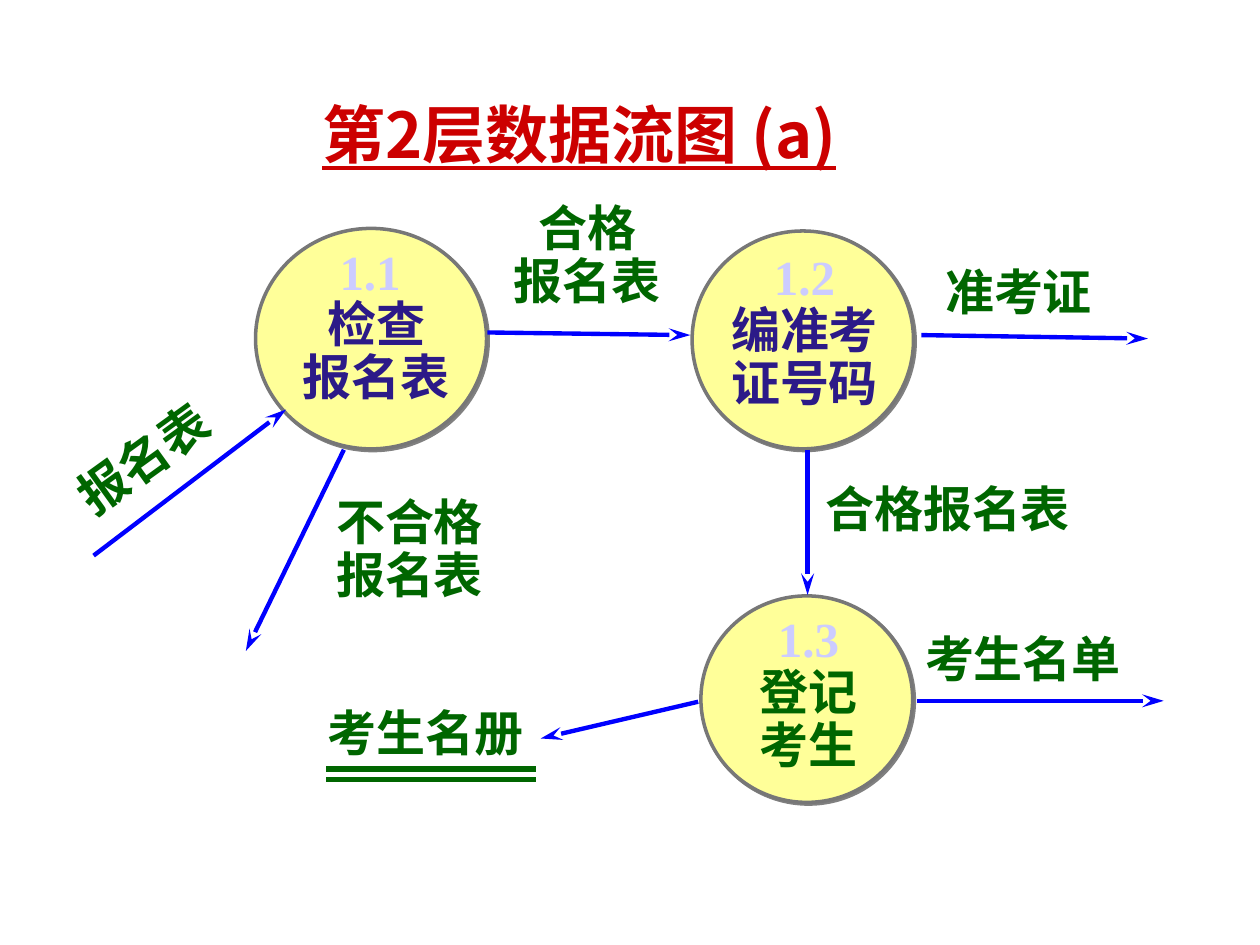
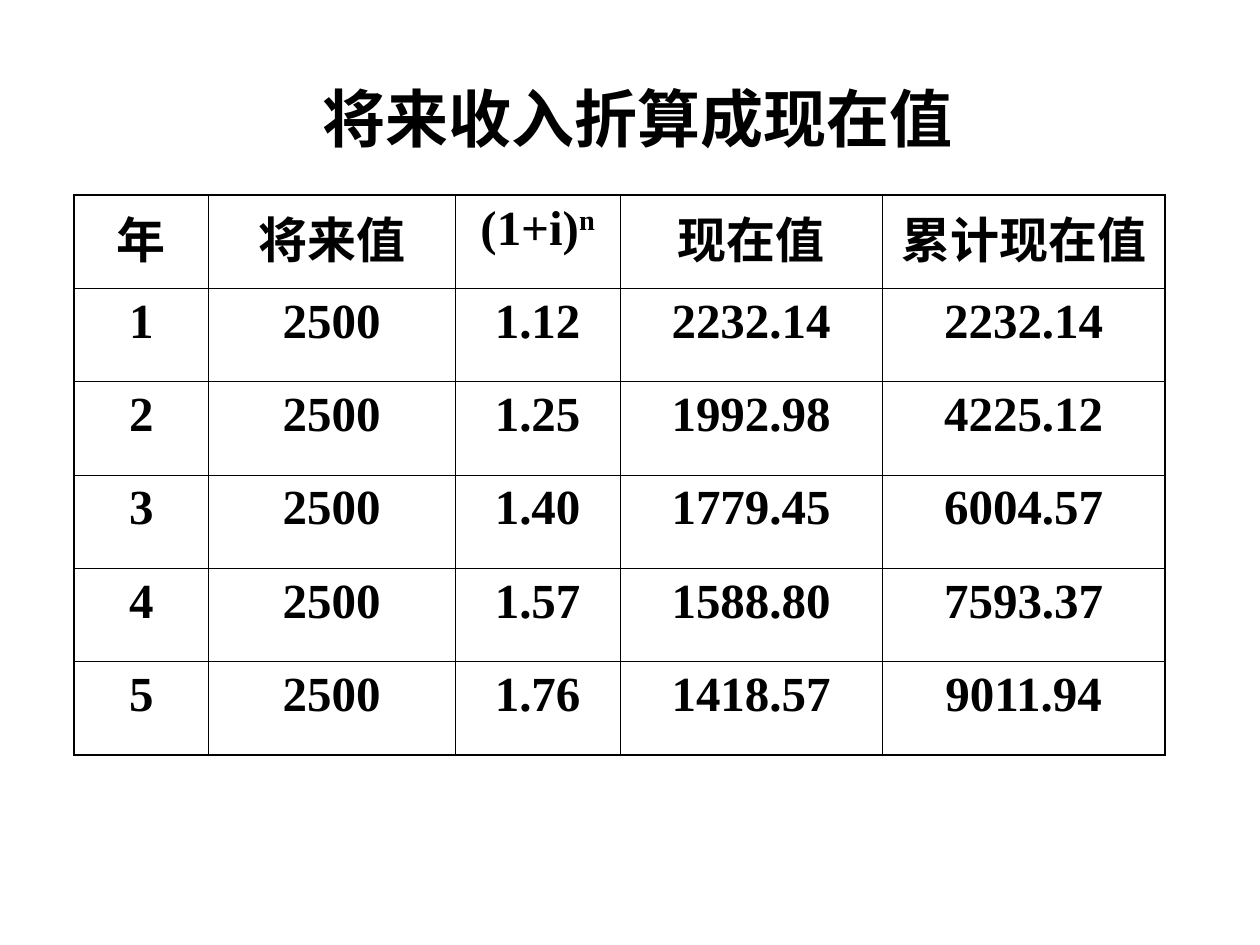
from lxml.etree import SubElement
from pptx import Presentation
from pptx.dml.color import RGBColor
from pptx.enum.shapes import MSO_CONNECTOR, MSO_SHAPE
from pptx.enum.text import MSO_ANCHOR, MSO_AUTO_SIZE, PP_ALIGN
from pptx.oxml.ns import qn
from pptx.util import Pt

RED = RGBColor(0xCC, 0x00, 0x00)
GREEN = RGBColor(0x00, 0x66, 0x00)
BLUE = RGBColor(0x00, 0x00, 0xFF)
INDIGO = RGBColor(0x2C, 0x1A, 0x88)
LAVENDER = RGBColor(0xCC, 0xCC, 0xFF)
YELLOW = RGBColor(0xFF, 0xFF, 0x99)
GRAY = RGBColor(0x77, 0x77, 0x77)
SHADOW = RGBColor(0x80, 0x80, 0x80)
BLACK = RGBColor(0x00, 0x00, 0x00)

LATIN_FONT = "Times New Roman"
CHINESE_FONT = "Noto Sans CJK JP"
LEFT, CENTER = PP_ALIGN.LEFT, PP_ALIGN.CENTER
TITLE_ONLY = 5

PROCESSES = [
    ((146, 130.5, 132, 126), (140, 138, 150, 98), "1.1 \n检查\n报名表", INDIGO),
    ((395.5, 132, 126.5, 124.5), (397, 141, 125.5, 98), "1.2\n编准考证号码", INDIGO),
    ((400.5, 340.5, 121, 118), (399, 348, 126, 98), "1.3\n登记\n考生", GREEN),
]
FLOWS = [
    ((53.5, 317.5), (163.5, 234)),
    ((278.5, 190), (394.5, 191.5)),
    ((196.5, 257), (140.5, 372)),
    ((526.5, 191.5), (656, 193.5)),
    ((461.5, 257), (461.5, 340)),
    ((524, 400.5), (665, 400.5)),
    ((399, 401), (309, 422)),
]
FLOW_LABELS = [
    ("报名表", (31, 236, 116, 41), {"rotation": 324.2}),
    ("合格\n报名表", (266.5, 113, 138, 68), {"align": CENTER, "spacing": 0.9}),
    ("不合格\n报名表", (185, 281, 109, 68), {"spacing": 0.9}),
    ("准考证", (533, 146, 109, 41), {}),
    ("合格报名表", (464.5, 270, 158, 41), {}),
    ("考生名单", (521.5, 355.5, 135, 41), {}),
    ("考生名册", (180, 398, 130, 41), {}),
]

INCOME_ROWS = [
    ("年", "将来值", "(1+i)^n", "现在值", "累计现在值"),
    ("1", "2500", "1.12", "2232.14", "2232.14"),
    ("2", "2500", "1.25", "1992.98", "4225.12"),
    ("3", "2500", "1.40", "1779.45", "6004.57"),
    ("4", "2500", "1.57", "1588.80", "7593.37"),
    ("5", "2500", "1.76", "1418.57", "9011.94"),
]
COLUMN_WIDTHS = (76.5, 141, 94.5, 149.5, 162)
ROW_HEIGHT = 53.3
OUTER_RULE, INNER_RULE = 1.25, 0.45


def points(*lengths):
    return [Pt(length) for length in lengths]


def write(frame, text, size=28, color=GREEN, first_color=None, font=LATIN_FONT,
          align=LEFT, spacing=None, underline=None):
    for row, line in enumerate(text.split("\n")):
        paragraph = frame.paragraphs[0] if row == 0 else frame.add_paragraph()
        paragraph.alignment = align
        paragraph.line_spacing = spacing
        for level, part in enumerate(line.split("^")):
            run = paragraph.add_run()
            run.text = part
            run.font.size = Pt(size)
            run.font.bold = True
            run.font.underline = underline
            run.font.name = font
            run.font.color.rgb = first_color if first_color and row == 0 else color
            properties = run._r.get_or_add_rPr()
            SubElement(properties, qn("a:ea")).set("typeface", CHINESE_FONT)
            if level:
                properties.set("baseline", "30000")


def add_titled_slide(deck, text, box, **style):
    slide = deck.slides.add_slide(deck.slide_layouts[TITLE_ONLY])
    title = slide.shapes.title
    title.left, title.top, title.width, title.height = points(*box)
    title.text_frame.auto_size = MSO_AUTO_SIZE.NONE
    title.text_frame.vertical_anchor = MSO_ANCHOR.TOP
    write(title.text_frame, text, size=36, **style)
    return slide


def add_label(slide, text, box, rotation=0, **style):
    label = slide.shapes.add_textbox(*points(*box))
    label.rotation = rotation
    label.text_frame.word_wrap = True
    write(label.text_frame, text, **style)


def add_line(slide, start, end, color, width, arrow=False):
    line = slide.shapes.add_connector(MSO_CONNECTOR.STRAIGHT, *points(*start, *end))
    line.line.color.rgb = color
    line.line.width = Pt(width)
    if arrow:
        SubElement(line.line._get_or_add_ln(), qn("a:tailEnd"), type="stealth", len="lg")
    SubElement(line._element.spPr, qn("a:effectLst"))


def add_process(slide, circle_box, text_box, text, color):
    circle = slide.shapes.add_shape(MSO_SHAPE.OVAL, *points(*circle_box))
    circle.fill.solid()
    circle.fill.fore_color.rgb = YELLOW
    circle.line.color.rgb = GRAY
    circle.line.width = Pt(2)
    circle.shadow.inherit = False
    effects = circle._element.spPr.find(qn("a:effectLst"))
    shadow = SubElement(effects, qn("a:outerShdw"), dist=str(Pt(1.4)), dir="2700000")
    SubElement(shadow, qn("a:srgbClr")).set("val", str(SHADOW))
    add_label(slide, text, text_box, color=color, first_color=LAVENDER,
              align=CENTER, spacing=0.9)


def rule_cell(cell, widths):
    properties = cell._tc.get_or_add_tcPr()
    for side, width in zip("LRTB", widths):
        rule = SubElement(properties, qn(f"a:ln{side}"), w=str(Pt(width)))
        fill = SubElement(rule, qn("a:solidFill"))
        SubElement(fill, qn("a:srgbClr")).set("val", str(BLACK))


def add_income_table(slide, left, top):
    last_row, last_column = len(INCOME_ROWS) - 1, len(COLUMN_WIDTHS) - 1
    table = slide.shapes.add_table(
        last_row + 1, last_column + 1,
        *points(left, top, sum(COLUMN_WIDTHS), ROW_HEIGHT * len(INCOME_ROWS))).table
    table.first_row = table.horz_banding = False
    for column, width in zip(table.columns, COLUMN_WIDTHS):
        column.width = Pt(width)
    for r, values in enumerate(INCOME_ROWS):
        table.rows[r].height = Pt(ROW_HEIGHT)
        for c, value in enumerate(values):
            cell = table.cell(r, c)
            on_edge = (c == 0, c == last_column, r == 0, r == last_row)
            rule_cell(cell, [OUTER_RULE if edge else INNER_RULE for edge in on_edge])
            cell.fill.background()
            write(cell.text_frame, value, color=BLACK, align=CENTER)


def build_data_flow(deck):
    slide = add_titled_slide(deck, "第2层数据流图 (a)", (177, 51, 345, 50.5),
                             color=RED, font=CHINESE_FONT, underline=True)
    for process in PROCESSES:
        add_process(slide, *process)
    for start, end in FLOWS:
        add_line(slide, start, end, BLUE, 2.5, arrow=True)
    for text, box, style in FLOW_LABELS:
        add_label(slide, text, box, **style)
    for store_rule in (439.5, 445.5):
        add_line(slide, (186.5, store_rule), (306, store_rule), GREEN, 3)


def build_present_value(deck):
    slide = add_titled_slide(deck, "将来收入折算成现在值", (34.5, 42, 660, 60),
                             color=BLACK, align=CENTER)
    add_income_table(slide, 42.5, 111.5)


def main():
    deck = Presentation()
    deck.slide_width, deck.slide_height = points(720, 540)
    build_data_flow(deck)
    build_present_value(deck)
    deck.save("out.pptx")


if __name__ == "__main__":
    main()
